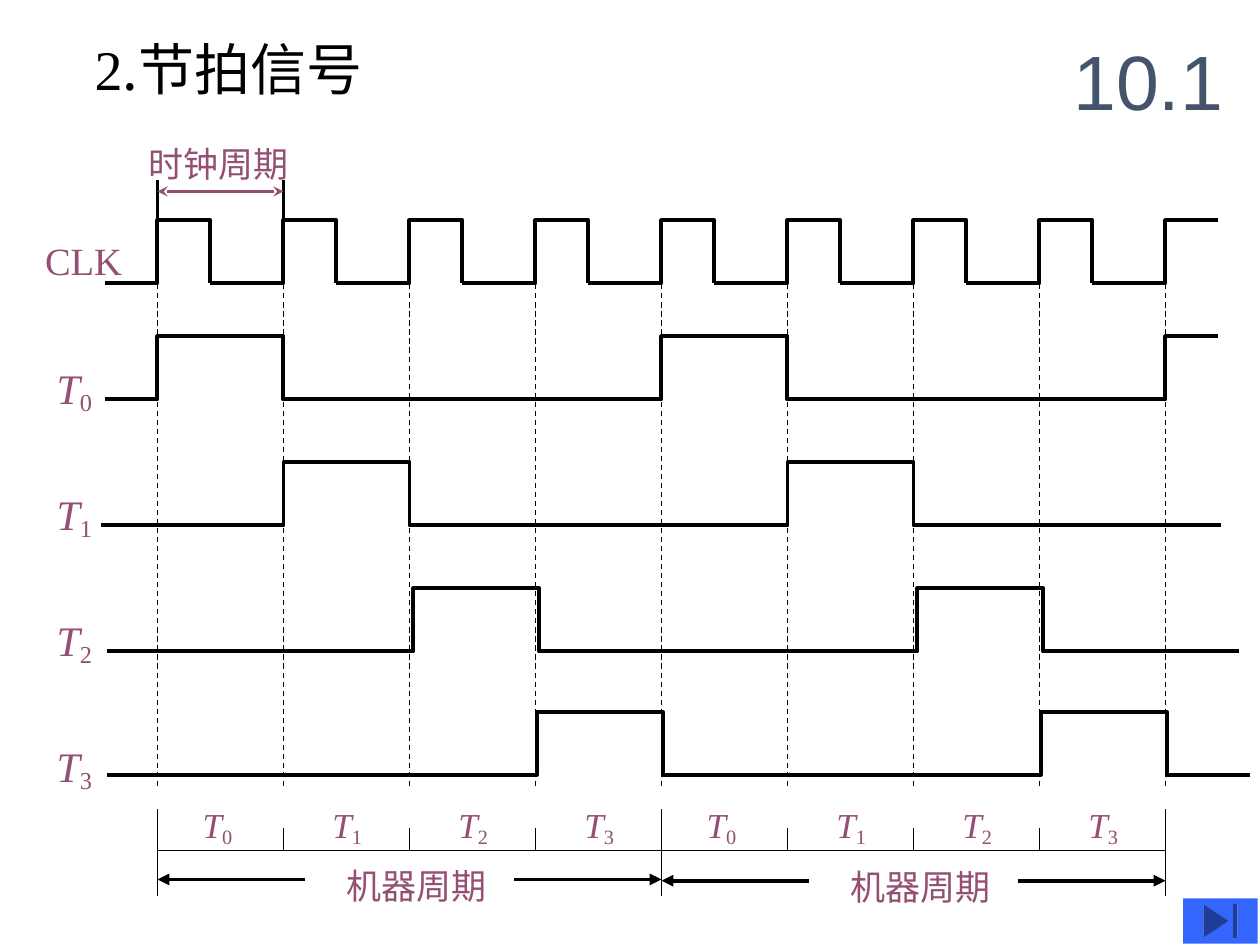
"""Build the slide of clock and beat signal waveforms."""
from dataclasses import dataclass

from lxml import etree
from pptx import Presentation
from pptx.dml.color import RGBColor
from pptx.enum.dml import MSO_LINE
from pptx.enum.shapes import MSO_CONNECTOR, MSO_SHAPE
from pptx.enum.text import MSO_ANCHOR, MSO_AUTO_SIZE, PP_ALIGN
from pptx.oxml.ns import qn
from pptx.util import Pt

PX = 9144
DASH = MSO_LINE.DASH
STRAIGHT = MSO_CONNECTOR.STRAIGHT
END_BUTTON = MSO_SHAPE.ACTION_BUTTON_END
TOP, MIDDLE = MSO_ANCHOR.TOP, MSO_ANCHOR.MIDDLE
LEFT = PP_ALIGN.LEFT
FIXED, FIT = MSO_AUTO_SIZE.NONE, MSO_AUTO_SIZE.SHAPE_TO_FIT_TEXT

FIRST_EDGE, CLOCK, BEATS = 125, 100, 4
MACHINE = CLOCK * BEATS
LAST_EDGE = FIRST_EDGE + 2 * MACHINE
PULSE_HEIGHT = 50


@dataclass(frozen=True)
class Theme:
    """Colours, fonts, type sizes and line widths of the slide."""

    ink: RGBColor = RGBColor(0x00, 0x00, 0x00)
    label: RGBColor = RGBColor(0x95, 0x4F, 0x72)
    section: RGBColor = RGBColor(0x44, 0x54, 0x6A)
    button: RGBColor = RGBColor(0x33, 0x66, 0xFF)
    serif: str = "Times New Roman"
    sans: str = "Arial"
    chinese: str = "Noto Sans CJK SC"
    title_size: int = 32
    section_size: int = 44
    clock_size: int = 22
    signal_size: int = 24
    note_size: int = 20
    trace: float = 2.25
    dimension: float = 1.5
    hairline: float = 0.75


THEME = Theme()


@dataclass(frozen=True)
class Piece:
    """A stretch of text in one format."""

    text: str
    size: int
    color: RGBColor = THEME.label
    font: str = THEME.serif
    italic: bool = False
    subscript: bool = False


@dataclass(frozen=True)
class Box:
    """A text area in px."""

    left: int
    top: int
    width: int
    height: int


@dataclass(frozen=True)
class BeatTrace:
    """One beat signal, high for one clock in every machine cycle."""

    start: int
    first_rise: int
    top: int
    end: int

    def points(self) -> list[tuple[int, int]]:
        """Return the corners of the waveform."""
        low = self.top + PULSE_HEIGHT
        corners = [(self.start, low)]
        for rise in range(self.first_rise, self.end, MACHINE):
            fall = rise + CLOCK
            corners += [(rise, low), (rise, self.top)]
            if fall > self.end:
                return corners + [(self.end, self.top)]
            corners += [(fall, self.top), (fall, low)]
        return corners + [(self.end, low)]


BEAT_TRACES = (
    BeatTrace(83, 125, 267, 967),
    BeatTrace(80, 225, 367, 969),
    BeatTrace(85, 328, 467, 983),
    BeatTrace(85, 426, 565, 992),
)


def write(frame, pieces: list[Piece]) -> None:
    """Put formatted pieces into the first paragraph of a text frame."""
    paragraph = frame.paragraphs[0]
    paragraph.alignment = LEFT
    for piece in pieces:
        run = paragraph.add_run()
        run.text = piece.text
        run.font.size = Pt(piece.size)
        run.font.name = piece.font
        run.font.italic = piece.italic
        run.font.color.rgb = piece.color
        properties = run._r.get_or_add_rPr()
        etree.SubElement(properties, qn("a:ea"), typeface=THEME.chinese)
        if piece.subscript:
            properties.set("baseline", "-15000")


def add_label(slide, box: Box, pieces: list[Piece]) -> None:
    """Add an unwrapped label."""
    label = slide.shapes.add_textbox(box.left * PX, box.top * PX, box.width * PX, box.height * PX)
    label.text_frame.word_wrap = False
    label.text_frame.auto_size = FIT
    write(label.text_frame, pieces)


def beat_name(beat: int, size: int) -> list[Piece]:
    """Return T with the beat number as subscript."""
    return [Piece("T", size, italic=True), Piece(str(beat), size, subscript=True)]


def add_trace(slide, points: list[tuple[int, int]]) -> None:
    """Draw an open waveform."""
    builder = slide.shapes.build_freeform(*points[0], scale=PX)
    builder.add_line_segments(points[1:], close=False)
    trace = builder.convert_to_shape()
    trace.fill.background()
    trace.line.color.rgb = THEME.ink
    trace.line.width = Pt(THEME.trace)
    trace.shadow.inherit = False


def add_line(slide, start: tuple[int, int], end: tuple[int, int], width: float,
             color: RGBColor = THEME.ink, dash=None, head: str = "none", tail: str = "none") -> None:
    """Draw a straight line with optional arrowheads."""
    line = slide.shapes.add_connector(STRAIGHT, *(value * PX for value in start + end))
    line.line.color.rgb = color
    line.line.width = Pt(width)
    if dash is not None:
        line.line.dash_style = dash
    properties = line._element.spPr
    stroke = properties.find(qn("a:ln"))
    etree.SubElement(stroke, qn("a:headEnd"), type=head)
    etree.SubElement(stroke, qn("a:tailEnd"), type=tail)
    etree.SubElement(properties, qn("a:effectLst"))


def add_headings(slide) -> None:
    """Fill the title and add the section number."""
    title = slide.shapes.title
    title.left, title.top, title.width, title.height = (n * PX for n in (65, 22, 393, 64))
    title.text_frame.vertical_anchor = TOP
    title.text_frame.auto_size = FIXED
    write(title.text_frame, [
        Piece("2", THEME.title_size, THEME.ink),
        Piece(".节拍信号", THEME.title_size, THEME.ink, THEME.chinese),
    ])
    section = slide.shapes.add_textbox(842 * PX, 17 * PX, 158 * PX, 92 * PX)
    section.text_frame.word_wrap = True
    section.text_frame.vertical_anchor = MIDDLE
    write(section.text_frame, [Piece("10.1", THEME.section_size, THEME.section, THEME.sans)])


def add_clock(slide) -> None:
    """Draw the clock waveform and the mark of its period."""
    high, low = 175, 175 + PULSE_HEIGHT
    for rise in range(FIRST_EDGE, LAST_EDGE + 1, CLOCK):
        start = 83 if rise == FIRST_EDGE else rise - 58
        fall = [] if rise == LAST_EDGE else [(rise + 42, low)]
        add_trace(slide, [(start, low), (rise, low), (rise, high), (rise + 42, high)] + fall)
    add_label(slide, Box(26, 183, 81, 47), [Piece("CLK", THEME.clock_size)])
    second_edge = FIRST_EDGE + CLOCK
    for edge in (FIRST_EDGE, second_edge):
        add_line(slide, (edge, 143), (edge, 177), THEME.dimension)
    add_line(slide, (FIRST_EDGE, 152), (second_edge, 152), THEME.dimension,
             THEME.label, head="stealth", tail="stealth")
    add_label(slide, Box(108, 108, 131, 44), [Piece("时钟周期", THEME.note_size)])


def add_beats(slide) -> None:
    """Draw the named beat signals and the dashed clock edges."""
    for beat, trace in enumerate(BEAT_TRACES):
        add_trace(slide, trace.points())
        add_label(slide, Box(35, 283 + 100 * beat, 48, 52), beat_name(beat, THEME.signal_size))
    for edge in range(FIRST_EDGE, LAST_EDGE + 1, CLOCK):
        add_line(slide, (edge, 197), (edge, 625), THEME.hairline, dash=DASH)


def add_cycle_scale(slide) -> None:
    """Draw the scale of beats and machine cycles."""
    add_line(slide, (FIRST_EDGE, 675), (LAST_EDGE, 675), THEME.hairline)
    for index, edge in enumerate(range(FIRST_EDGE, LAST_EDGE + 1, CLOCK)):
        top, bottom = (657, 675) if index % BEATS else (642, 711)
        add_line(slide, (edge, top), (edge, bottom), THEME.hairline)
    for cycle, left in enumerate((FIRST_EDGE, FIRST_EDGE + MACHINE)):
        right, arrow_y = left + MACHINE, 698 + cycle
        add_line(slide, (right - 117, arrow_y), (right, arrow_y), THEME.trace, tail="triangle")
        add_line(slide, (left + 117, arrow_y), (left, arrow_y), THEME.trace, tail="triangle")
        add_label(slide, Box(left + 140, 681 + cycle, 131, 44), [Piece("机器周期", THEME.note_size)])
        for beat in range(BEATS):
            indent = 29 if beat else 26
            add_label(slide, Box(left + indent + CLOCK * beat, 633, 48, 45),
                      beat_name(beat, THEME.note_size))


def add_end_button(slide) -> None:
    """Add the button in the lower right corner."""
    button = slide.shapes.add_shape(END_BUTTON, 939 * PX, 713 * PX, 59 * PX, 36 * PX)
    button.fill.solid()
    button.fill.fore_color.rgb = THEME.button
    button.line.fill.background()
    button.shadow.inherit = False


def main() -> None:
    """Build and save the presentation."""
    deck = Presentation()
    deck.slide_width, deck.slide_height = 1000 * PX, 750 * PX
    slide = deck.slides.add_slide(deck.slide_layouts[5])
    for draw in (add_headings, add_clock, add_beats, add_cycle_scale, add_end_button):
        draw(slide)
    deck.save("out.pptx")


if __name__ == "__main__":
    main()
